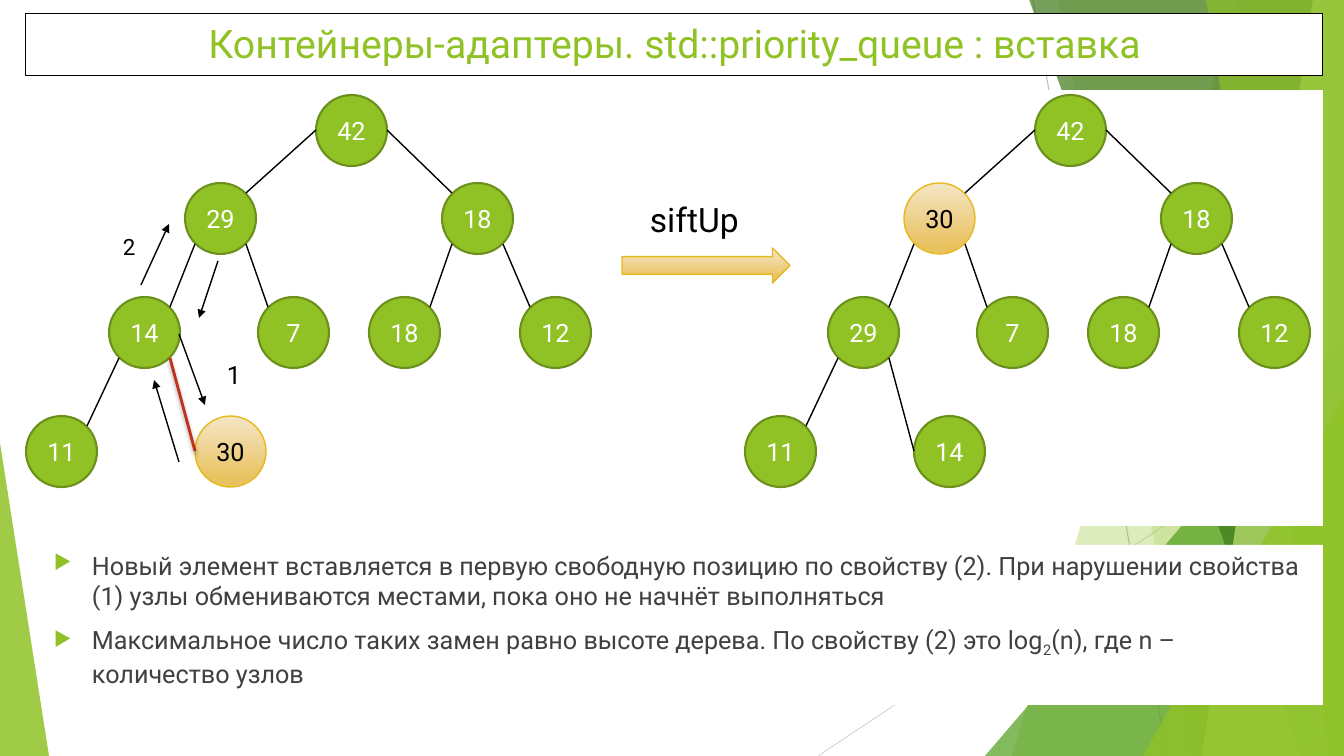
from dataclasses import dataclass
from typing import Any, Optional

import lxml.etree
import pptx
import pptx.dml.color
import pptx.enum.shapes
import pptx.enum.text
import pptx.oxml.ns
import pptx.util

SLIDE_W, SLIDE_H = 1344, 756
EMU_PER_PX = 12192000 / SLIDE_W
FONT = "Roboto"
BLACK, WHITE, GREEN, DARK_GREEN = "000000", "FFFFFF", "90C226", "6B901C"
GRAY, RED, GOLD = "404040", "C42F1A", "E6B91E"
GOLD_GRADIENT = (("F5E5C5", 0), ("E9C260", 0.88))

SHAPE = pptx.enum.shapes.MSO_SHAPE
ALIGN = pptx.enum.text.PP_ALIGN
ANCHOR = pptx.enum.text.MSO_ANCHOR
qn = pptx.oxml.ns.qn

Point = tuple[int, int]
Box = tuple[int, int, int, int]

NODE = 71
MIDDLE, INSET = 35, 10
SITES: dict[str, Point] = {
    "left": (0, MIDDLE),
    "right": (NODE, MIDDLE),
    "top left": (INSET, INSET),
    "top right": (NODE - INSET, INSET),
    "bottom left": (INSET, NODE - INSET),
    "bottom right": (NODE - INSET, NODE - INSET),
}


@dataclass(frozen=True)
class Edge:
    parent: int
    parent_site: str
    child: int
    child_site: str


@dataclass(frozen=True)
class Tree:
    offset: int
    values: tuple[int, ...]
    new_edge_color: str


@dataclass(frozen=True)
class Band:
    top_x: int
    bottom_x: int
    color: str
    opacity: int


@dataclass(frozen=True)
class Wedge:
    box: Box
    apex: int
    color: str
    opacity: int


@dataclass(frozen=True)
class Label:
    text: str
    box: Box
    size: int


NODE_CORNERS: tuple[Point, ...] = (
    (316, 95), (185, 183), (442, 183), (109, 297), (258, 297),
    (369, 297), (520, 297), (26, 416), (195, 416),
)
EDGES = (
    Edge(0, "left", 1, "top right"),
    Edge(0, "right", 2, "top left"),
    Edge(1, "bottom left", 3, "top right"),
    Edge(1, "bottom right", 4, "top left"),
    Edge(2, "bottom left", 5, "top right"),
    Edge(2, "bottom right", 6, "top left"),
    Edge(3, "bottom left", 7, "top right"),
)
NEW_EDGE = Edge(3, "bottom right", 8, "left")
NEW_VALUE = 30
TREES = (
    Tree(0, (42, 29, 18, 14, 7, 18, 12, 11, 30), RED),
    Tree(719, (42, 30, 18, 29, 7, 18, 12, 11, 14), BLACK),
)
BACKDROP = (
    Band(1238, 1012, GREEN, 30),
    Band(1058, 1192, GREEN, 20),
    Wedge((985, 336, 359, 420), 1, "54A021", 72),
    Band(1029, 1301, "3F7819", 70),
    Band(1313, 1202, "C0E474", 70),
    Band(1206, 1329, GREEN, 65),
    Wedge((1143, 396, 201, 360), 1, GREEN, 80),
    Wedge((0, 443, 49, 313), 0, GREEN, 85),
)
BACKDROP_LINES = (
    ((1033, 0), (1167, 756), "BFBFBF"),
    ((1344, 406), (818, 756), "D9D9D9"),
)
SWAP_ARROWS = (
    ((179, 462), (154, 380)),
    ((179, 334), (205, 405)),
    ((141, 285), (169, 224)),
    ((218, 261), (199, 318)),
)
LABELS = (
    Label("siftUp", (640, 194, 111, 50), 24),
    Label("1", (217, 354, 34, 40), 18),
    Label("2", (113, 228, 32, 37), 16),
)
TITLE = "Контейнеры-адаптеры. std::priority_queue : вставка"
NOTES = (
    (("Новый элемент вставляется в первую свободную позицию по свойству (2). "
      "При нарушении свойства (1) узлы обмениваются местами, "
      "пока оно не начнёт выполняться", False),),
    (("Максимальное число таких замен равно высоте дерева. "
      "По свойству (2) это log", False),
     ("2", True),
     ("(n), где n – количество узлов", False)),
)


def px(length: int) -> int:
    return round(length * EMU_PER_PX)


def rgb(color: str) -> pptx.dml.color.RGBColor:
    return pptx.dml.color.RGBColor.from_string(color)


def write(paragraph: Any, text: str, *, size: int, color: str,
          align: Any = ALIGN.LEFT, subscript: bool = False) -> None:
    paragraph.alignment = align
    run = paragraph.add_run()
    run.text = text
    run.font.name = FONT
    run.font.size = pptx.util.Pt(size)
    run.font.color.rgb = rgb(color)
    if subscript:
        run._r.get_or_add_rPr().set("baseline", "-25000")


def paint(shape: Any, fill: str, line: Optional[str] = None,
          width: float = 1, opacity: int = 100) -> None:
    shape.shadow.inherit = False
    shape.fill.solid()
    shape.fill.fore_color.rgb = rgb(fill)
    if opacity < 100:
        tint = next(shape._element.spPr.iter(qn("a:srgbClr")))
        lxml.etree.SubElement(tint, qn("a:alpha"), val=str(opacity * 1000))
    if line is None:
        shape.line.fill.background()
    else:
        shape.line.color.rgb = rgb(line)
        shape.line.width = pptx.util.Pt(width)


def paint_gold(shape: Any) -> None:
    paint(shape, GOLD, GOLD)
    shape.fill.gradient()
    shape.fill.gradient_angle = 270
    for stop, (color, position) in zip(shape.fill.gradient_stops, GOLD_GRADIENT):
        stop.color.rgb = rgb(color)
        stop.position = position


def add_preset(slide: Any, kind: Any, box: Box) -> Any:
    return slide.shapes.add_shape(kind, *map(px, box))


def add_line(slide: Any, start: Point, end: Point, color: str = BLACK,
             width: float = 1, arrow: bool = False, shadow: bool = False) -> None:
    line = slide.shapes.add_connector(
        pptx.enum.shapes.MSO_CONNECTOR.STRAIGHT, *map(px, start + end))
    line.line.color.rgb = rgb(color)
    line.line.width = pptx.util.Pt(width)
    properties = line._element.spPr
    if arrow:
        lxml.etree.SubElement(properties.find(qn("a:ln")), qn("a:tailEnd"), type="triangle")
    effects = lxml.etree.SubElement(properties, qn("a:effectLst"))
    if shadow:
        cast = lxml.etree.SubElement(effects, qn("a:outerShdw"), blurRad="38100",
                                     dist="25400", dir="5400000", rotWithShape="0")
        tint = lxml.etree.SubElement(cast, qn("a:srgbClr"), val=BLACK)
        lxml.etree.SubElement(tint, qn("a:alpha"), val="35000")


def add_backdrop(slide: Any) -> None:
    for start, end, color in BACKDROP_LINES:
        add_line(slide, start, end, color, 0.75)
    for part in BACKDROP:
        if isinstance(part, Band):
            outline = slide.shapes.build_freeform(part.top_x, -1, scale=EMU_PER_PX)
            outline.add_line_segments(
                [(SLIDE_W, -1), (SLIDE_W, SLIDE_H), (part.bottom_x, SLIDE_H)])
            shape = outline.convert_to_shape()
        else:
            shape = add_preset(slide, SHAPE.ISOSCELES_TRIANGLE, part.box)
            shape.adjustments[0] = part.apex
        paint(shape, part.color, opacity=part.opacity)


def add_notes(slide: Any) -> None:
    panel = add_preset(slide, SHAPE.RECTANGLE, (44, 545, 1279, 160))
    paint(panel, WHITE)
    frame = panel.text_frame
    frame.word_wrap = True
    frame.vertical_anchor = ANCHOR.TOP
    for index, pieces in enumerate(NOTES):
        paragraph = frame.add_paragraph() if index else frame.paragraphs[0]
        layout = paragraph._p.get_or_add_pPr()
        layout.set("marL", str(px(38)))
        layout.set("indent", str(-px(38)))
        bullet_color = lxml.etree.SubElement(layout, qn("a:buClr"))
        lxml.etree.SubElement(bullet_color, qn("a:srgbClr"), val=GREEN)
        lxml.etree.SubElement(layout, qn("a:buSzPct"), val="80000")
        lxml.etree.SubElement(layout, qn("a:buChar"), char="▶")
        if index:
            paragraph.space_before = pptx.util.Pt(10)
        for text, subscript in pieces:
            write(paragraph, text, size=18, color=GRAY, subscript=subscript)


def add_title(slide: Any) -> None:
    banner = add_preset(slide, SHAPE.RECTANGLE, (26, 14, 1297, 62))
    paint(banner, WHITE, BLACK, 0.75)
    banner.text_frame.vertical_anchor = ANCHOR.TOP
    write(banner.text_frame.paragraphs[0], TITLE, size=28, color=GREEN, align=ALIGN.CENTER)


def add_edge(slide: Any, edge: Edge, offset: int, color: str = BLACK) -> None:
    ends = []
    for node, site in ((edge.parent, edge.parent_site), (edge.child, edge.child_site)):
        (left, top), (dx, dy) = NODE_CORNERS[node], SITES[site]
        ends.append((left + dx + offset, top + dy))
    fresh = color == RED
    add_line(slide, *ends, color, 2 if fresh else 1, shadow=fresh)


def add_tree(slide: Any, tree: Tree) -> None:
    for (left, top), value in zip(NODE_CORNERS, tree.values):
        node = add_preset(slide, SHAPE.OVAL, (left + tree.offset, top, NODE, NODE))
        if value == NEW_VALUE:
            paint_gold(node)
        else:
            paint(node, GREEN, DARK_GREEN, 1.5)
        node.text_frame.word_wrap = False
        node.text_frame.vertical_anchor = ANCHOR.MIDDLE
        write(node.text_frame.paragraphs[0], str(value), size=18,
              color=BLACK if value == NEW_VALUE else WHITE, align=ALIGN.CENTER)
    for edge in EDGES:
        add_edge(slide, edge, tree.offset)
    add_edge(slide, NEW_EDGE, tree.offset, tree.new_edge_color)


def add_label(slide: Any, label: Label) -> None:
    frame = slide.shapes.add_textbox(*map(px, label.box)).text_frame
    frame.word_wrap = False
    frame.auto_size = pptx.enum.text.MSO_AUTO_SIZE.SHAPE_TO_FIT_TEXT
    write(frame.paragraphs[0], label.text, size=label.size, color=BLACK)


def main() -> None:
    deck = pptx.Presentation()
    deck.slide_width, deck.slide_height = px(SLIDE_W), px(SLIDE_H)
    slide = deck.slides.add_slide(deck.slide_layouts[6])
    add_backdrop(slide)
    paint(add_preset(slide, SHAPE.RECTANGLE, (656, 90, 667, 436)), WHITE)
    add_notes(slide)
    add_title(slide)
    for tree in TREES:
        add_tree(slide, tree)
    paint_gold(add_preset(slide, SHAPE.RIGHT_ARROW, (622, 248, 168, 35)))
    for start, end in SWAP_ARROWS:
        add_line(slide, start, end, arrow=True)
    for label in LABELS:
        add_label(slide, label)
    deck.save("out.pptx")


if __name__ == "__main__":
    main()
